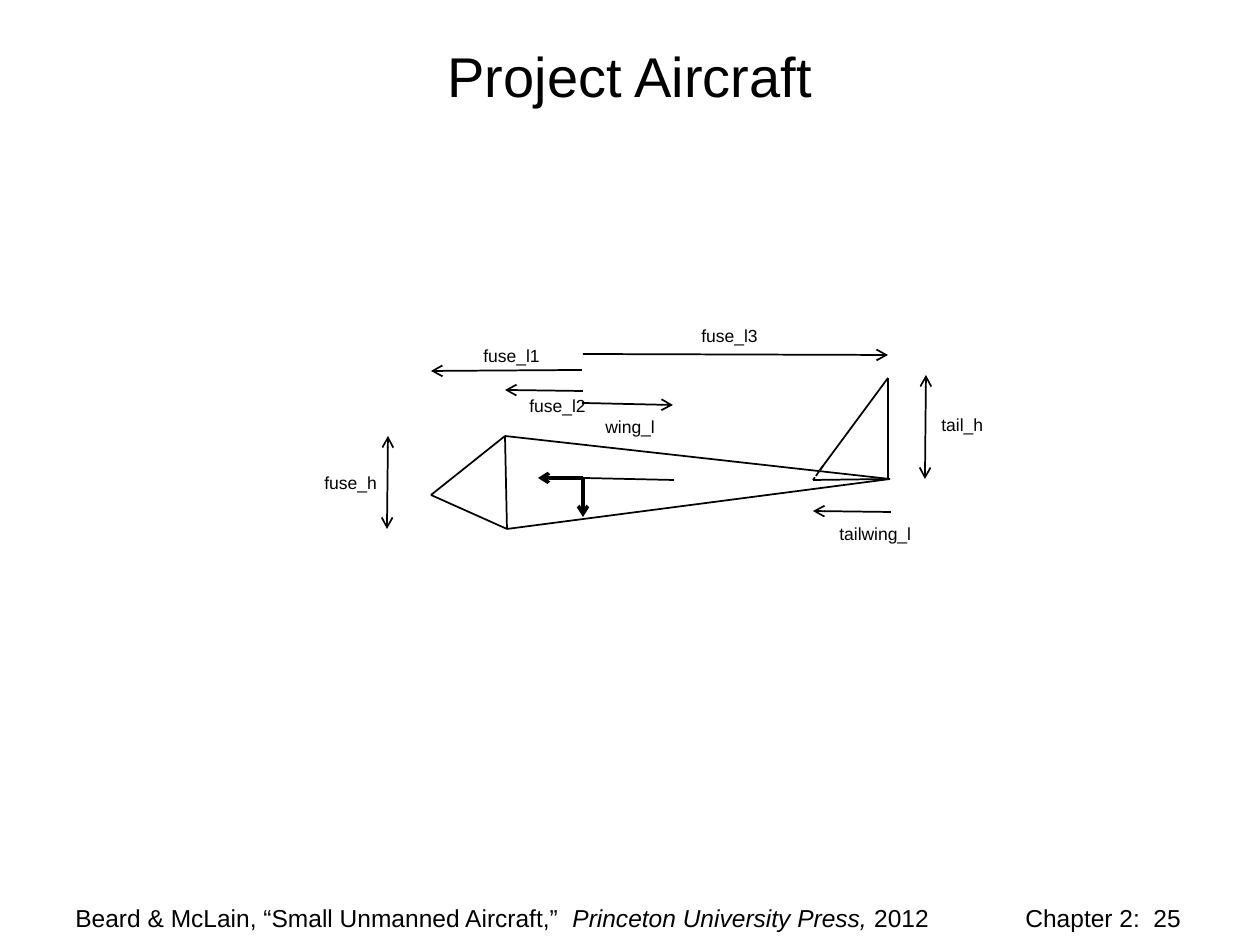
from lxml import etree
from pptx import Presentation
from pptx import util as u
from pptx.dml.color import RGBColor
from pptx.enum import dml, shapes, text
from pptx.oxml.ns import qn

COLORS = {"ink": "000000"}
SCALE = 914400 / 126


def px(n):
    return u.Emu(round(n * SCALE))


class Deck:
    face = "Arial"
    ink = RGBColor.from_string(COLORS["ink"])

    def __init__(self, wide, high):
        self.file = Presentation()
        self.file.slide_width, self.file.slide_height = px(wide), px(high)
        self.slide = self.file.slides.add_slide(self.file.slide_layouts[6])

    def line(self, start, end, width=1, head=False, tail=False, dash=False):
        link = self.slide.shapes.add_connector(
            shapes.MSO_CONNECTOR.STRAIGHT, *map(px, start + end))
        link.line.width = u.Pt(width)
        link.line.color.rgb = self.ink
        if dash:
            link.line.dash_style = dml.MSO_LINE.SQUARE_DOT
        pen = link.line._get_or_add_ln()
        for tag, shown in (("a:headEnd", head), ("a:tailEnd", tail)):
            if shown:
                etree.SubElement(pen, qn(tag), type="arrow")
        etree.SubElement(link._element.spPr, qn("a:effectLst"))

    def label(self, box, runs, size, wrap=False, center=False, tab=None):
        frame = self.slide.shapes.add_textbox(*map(px, box)).text_frame
        frame.word_wrap = wrap
        para = frame.paragraphs[0]
        if center:
            frame.vertical_anchor = text.MSO_ANCHOR.MIDDLE
            para.alignment = text.PP_ALIGN.CENTER
        if tab:
            stops = etree.SubElement(para._p.get_or_add_pPr(), qn("a:tabLst"))
            etree.SubElement(stops, qn("a:tab"), pos=str(px(tab)), algn="l")
        para.font.name = self.face
        para.font.size = u.Pt(size)
        para.font.color.rgb = self.ink
        for words, slant in runs:
            run = para.add_run()
            run.text = words
            if slant:
                run.font.italic = True


def main():
    deck = Deck(1260, 945)
    deck.label((63, 25, 1134, 100), [("Project Aircraft", False)], 32,
               wrap=True, center=True)
    deck.label((63, 897, 1134, 49), [
        ("Beard & McLain, “Small Unmanned Aircraft,”  ", False),
        ("Princeton University Press,", True),
        (" 2012\tChapter 2:  25", False),
    ], 14, wrap=True, tab=950)

    nose, top, low, rear = (431, 495), (505, 436), (507, 529), (890, 479)
    mid, tip, fin = (583, 478), (813, 480), (888, 378)
    edges = [
        (nose, low), (top, low), (nose, top), (rear, top), (rear, low),
        (mid, (674, 480)), (tip, (888, 479)),
        (fin, (888, 478)), (fin, (820, 470)),
    ]
    for start, end in edges:
        deck.line(start, end)
    deck.line((823, 466), tip, dash=True)

    for end in ((538, 478), (583, 517)):
        deck.line(mid, end, width=2, tail=True)

    sizes = [
        ("wing_l", (582, 403), (673, 405), False, (593, 410, 76)),
        ("fuse_l3", (583, 354), (888, 355), False, (689, 319, 82)),
        ("fuse_l2", (583, 391), (505, 390), False, (517, 389, 82)),
        ("fuse_l1", (582, 370), (431, 371), False, (471, 339, 82)),
        ("tailwing_l", (891, 512), (813, 511), False, (827, 517, 98)),
        ("tail_h", (925, 479), (926, 375), True, (929, 408, 68)),
        ("fuse_h", (387, 529), (388, 436), True, (312, 466, 78)),
    ]
    for name, start, end, both, spot in sizes:
        deck.line(start, end, head=both, tail=True)
        deck.label(spot + (34,), [(name, False)], 10)

    deck.file.save("out.pptx")


if __name__ == "__main__":
    main()
